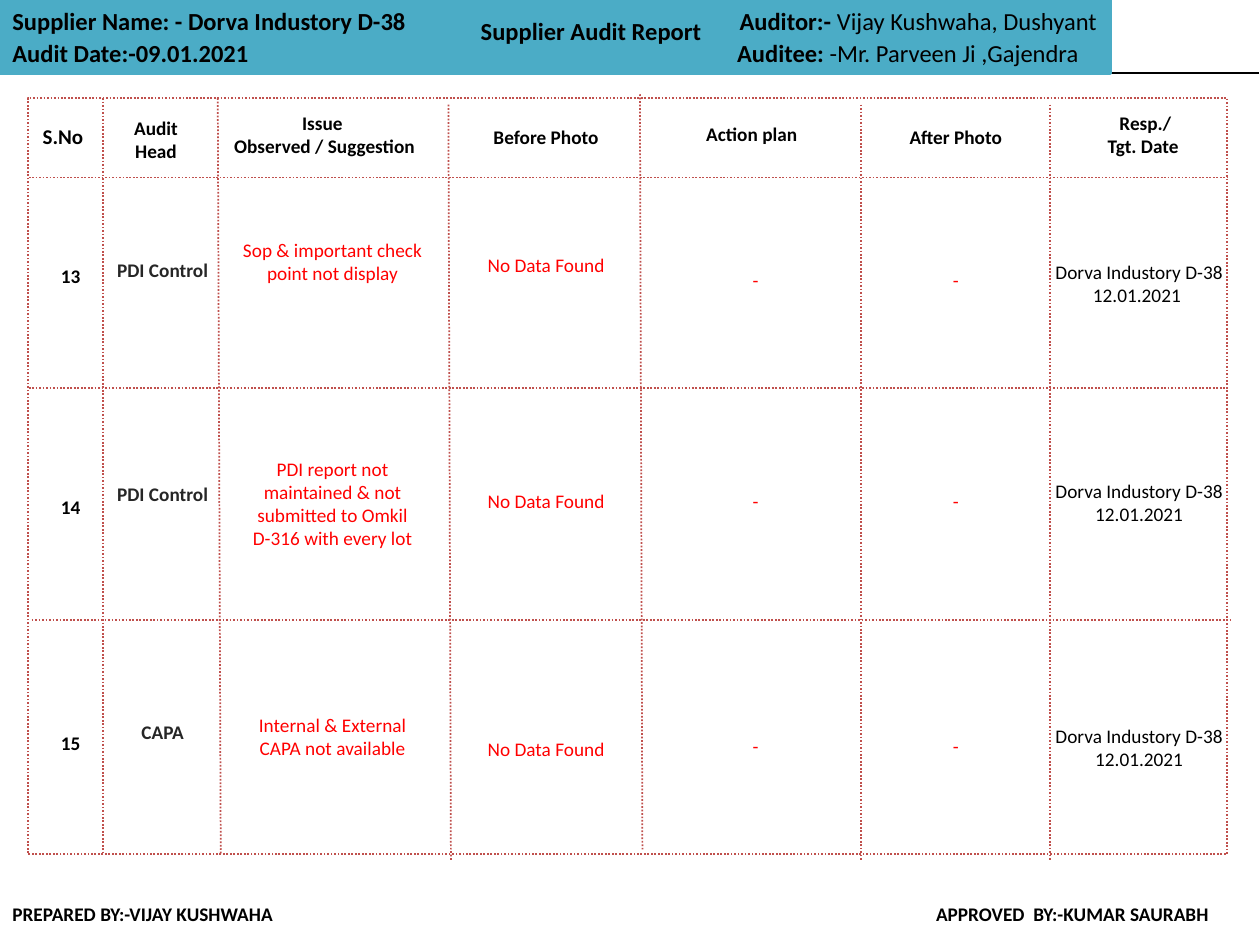
"""Build a one-page supplier audit report with a ruled grid of findings."""
from pptx import Presentation
from pptx.dml.color import RGBColor
from pptx.enum.dml import MSO_LINE_DASH_STYLE as Dash
from pptx.enum.shapes import MSO_CONNECTOR as Connector, MSO_SHAPE as Shape
from pptx.enum.text import MSO_ANCHOR as Anchor, MSO_AUTO_SIZE as AutoSize, PP_ALIGN as Align
from pptx.oxml.ns import qn
from pptx.util import Cm, Pt
from lxml.etree import SubElement

THEME = {
    "font": "Calibri",
    "ink": "000000", "head": "262626", "finding": "FF0000",
    "grid": "C0504D", "banner": "4BACC6",
    "title": 14, "number": 12, "body": 11,
}
SUPPLIER = "Dorva Industory D-38"
TITLE = " Supplier Audit Report "
BANNER_TEXTS = [
    ("Audit Date:-09.01.2021", "", 0, 0.64, 6.15, True),
    (f"Supplier Name: - {SUPPLIER}", "", 0, 0, 8.46, True),
    ("Auditor:- ", "Vijay Kushwaha, Dushyant", 14.66, 0, 7.8, False),
    ("Auditee: ", "-Mr. Parveen Ji ,Gajendra", 14.61, 0.64, 7.62, True),
]
FOOTERS = [("PREPARED BY:-VIJAY KUSHWAHA", 0), ("APPROVED  BY:-KUMAR SAURABH", 18.62)]
HEADERS = [
    ("Audit \nHead ", 2.44, 2.21, 1.5),
    ("Issue \nObserved / Suggestion", 4.45, 2.11, 4.19),
    ("Before Photo", 9.32, 2.41, 3.38),
    ("Action plan ", 13.97, 2.34, 2.46),
    ("After Photo", 17.58, 2.41, 3.38),
    ("Resp./\nTgt. Date ", 22.05, 2.11, 2.08),
]
COLUMNS = [
    (0.97, 0.91, "ink", True), (2.11, 2.34, "head", True), (4.57, 4.27, "finding", False),
    (9.32, 3.38, "finding", False), (13.54, 3.38, "finding", False),
    (17.58, 3.38, "finding", False), (20.96, 4.01, "ink", False),
]
FINDINGS = [
    [("13", 5.21, 1), ("PDI Control", 5.08, 2),
     ("Sop & important check point not display", 4.67, 2), ("No Data Found", 4.98, 1),
     ("-", 5.28, 1), ("-", 5.28, 1), (f"{SUPPLIER}\n12.01.2021 ", 5.12, 2)],
    [("14", 9.86, 1), ("PDI Control", 9.6, 2),
     ("PDI report not maintained & not submitted to Omkil D-316 with every lot", 9.09, 4),
     ("No Data Found", 9.73, 1),
     ("-", 9.73, 1), ("-", 9.73, 1), (f"{SUPPLIER}\n12.01.2021", 9.53, 2)],
    [("15", 14.61, 1), ("CAPA", 14.4, 1),
     ("Internal & External CAPA not available", 14.25, 2), ("No Data Found", 14.73, 1),
     ("-", 14.68, 1), ("-", 14.68, 1), (f"{SUPPLIER}\n12.01.2021", 14.48, 2)],
]
GRID = (0.56, 1.98, 24.18, 15.24)
VERTICALS = [(2.08, 2.08, 1.98), (4.39, 4.45, 1.98), (9.04, 9.09, 2.11),
             (12.9, 12.95, 1.9), (17.35, 17.35, 2.11), (21.16, 21.16, 2.11)]
HORIZONTALS = [(0.58, 3.58), (0.58, 7.82), (0.64, 12.5)]


def color(name):
    return RGBColor.from_string(THEME[name])


def add_text(slide, text, left, top, width, *, lines=None, size="body", ink="ink",
             bold=True, align=Align.CENTER, wrap=True, plain="", shape=None):
    points = THEME[size]
    paragraphs = text.split("\n")
    height = 0.25 + 0.043 * points * (lines or len(paragraphs))
    box = [Cm(value) for value in (left, top, width, height)]
    if shape is None:
        shape = slide.shapes.add_textbox(*box)
    else:
        shape.left, shape.top, shape.width, shape.height = box
    frame = shape.text_frame
    frame.word_wrap = wrap
    frame.auto_size = AutoSize.SHAPE_TO_FIT_TEXT
    frame.vertical_anchor = Anchor.TOP
    for index, words in enumerate(paragraphs):
        paragraph = frame.add_paragraph() if index else frame.paragraphs[0]
        paragraph.alignment = align
        for part, weight in ((words, bold), (plain, False)):
            if part:
                run = paragraph.add_run()
                run.text = part
                run.font.name, run.font.size, run.font.bold = THEME["font"], Pt(points), weight
                run.font.color.rgb = color(ink)
    return shape


def style_line(line, name, width, dash=None):
    line.color.rgb, line.width = color(name), Pt(width)
    if dash:
        line.dash_style = dash


def add_line(slide, start, end, name="grid", width=1, dash=Dash.ROUND_DOT):
    line = slide.shapes.add_connector(Connector.STRAIGHT, *map(Cm, start + end))
    style_line(line.line, name, width, dash)
    SubElement(line._element.spPr, qn("a:effectLst"))


def add_box(slide, box, name, width, filled=False, dash=None):
    shape = slide.shapes.add_shape(Shape.RECTANGLE, *map(Cm, box))
    shape.shadow.inherit = False
    if filled:
        shape.fill.solid()
        shape.fill.fore_color.rgb = color(name)
    else:
        shape.fill.background()
    style_line(shape.line, name, width, dash)


def main():
    presentation = Presentation()
    presentation.slide_width, presentation.slide_height = Cm(25.4), Cm(19.05)
    slide = presentation.slides.add_slide(presentation.slide_layouts[5])
    title = slide.shapes.title

    add_line(slide, (0.03, 1.47), (25.37, 1.47), "ink", 0.75, None)
    add_box(slide, (0, 0, 22.38, 1.47), "banner", 2, filled=True)
    slide.shapes._spTree.append(title._element)
    add_text(slide, TITLE, 9.32, 0.2, 5.08, size="title", shape=title)
    for text, plain, left, top, width, wrap in BANNER_TEXTS:
        add_text(slide, text, left, top, width, size="title", align=Align.LEFT,
                 wrap=wrap, plain=plain)

    add_box(slide, GRID, "grid", 1, dash=Dash.ROUND_DOT)
    for start, end, top in VERTICALS:
        add_line(slide, (start, top), (end, top + GRID[3]))
    for left, top in HORIZONTALS:
        add_line(slide, (left, top), (left + GRID[2], top))

    add_text(slide, "S.No", 0.61, 2.36, 1.47, size="number", align=Align.LEFT, wrap=False)
    for text, left, top, width in HEADERS:
        add_text(slide, text, left, top, width, wrap=False)
    for finding in FINDINGS:
        for (text, top, lines), (left, width, ink, bold) in zip(finding, COLUMNS):
            add_text(slide, text, left, top, width, lines=lines, ink=ink, bold=bold,
                     wrap=left > COLUMNS[0][0])
    for text, left in FOOTERS:
        add_text(slide, text, left, 18.06, 6.35, align=Align.LEFT)
    presentation.save("out.pptx")


if __name__ == "__main__":
    main()
